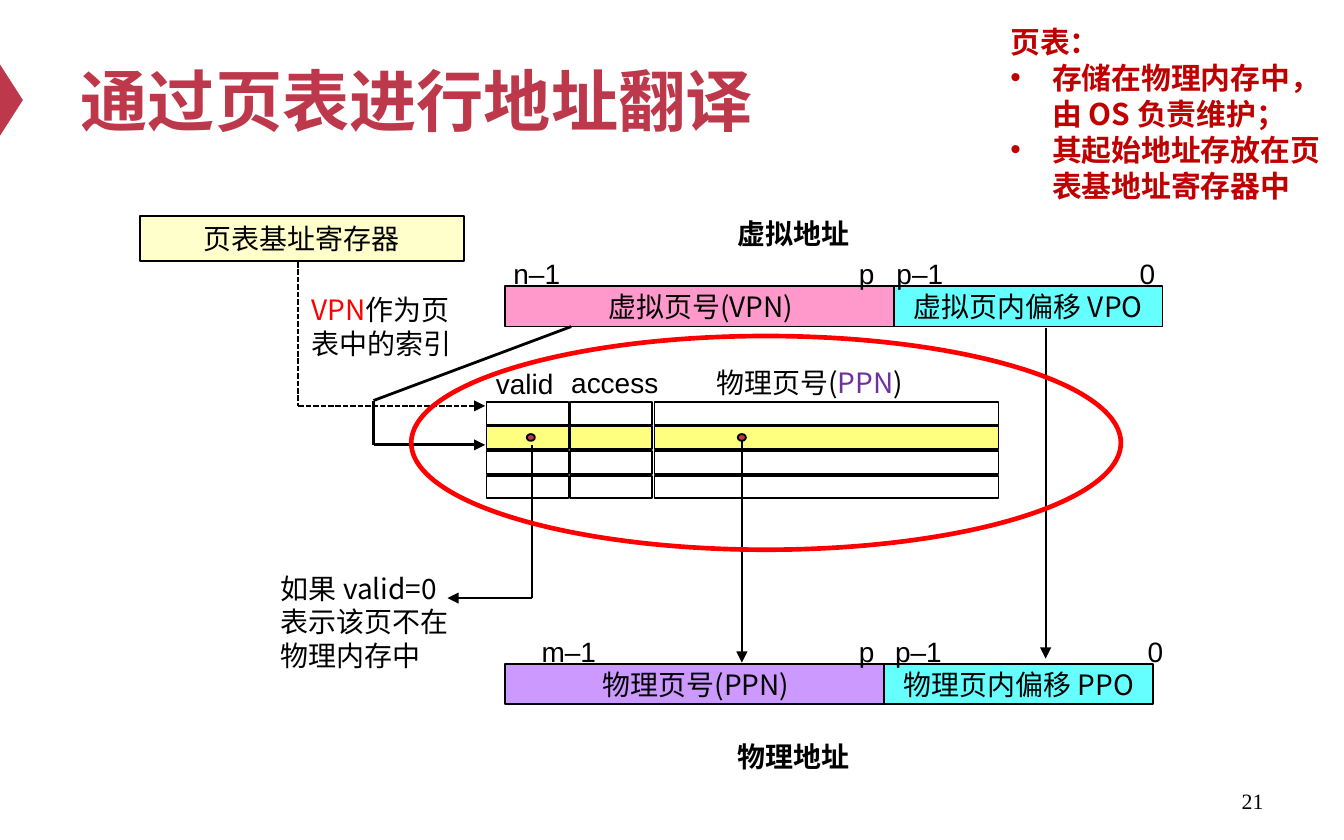
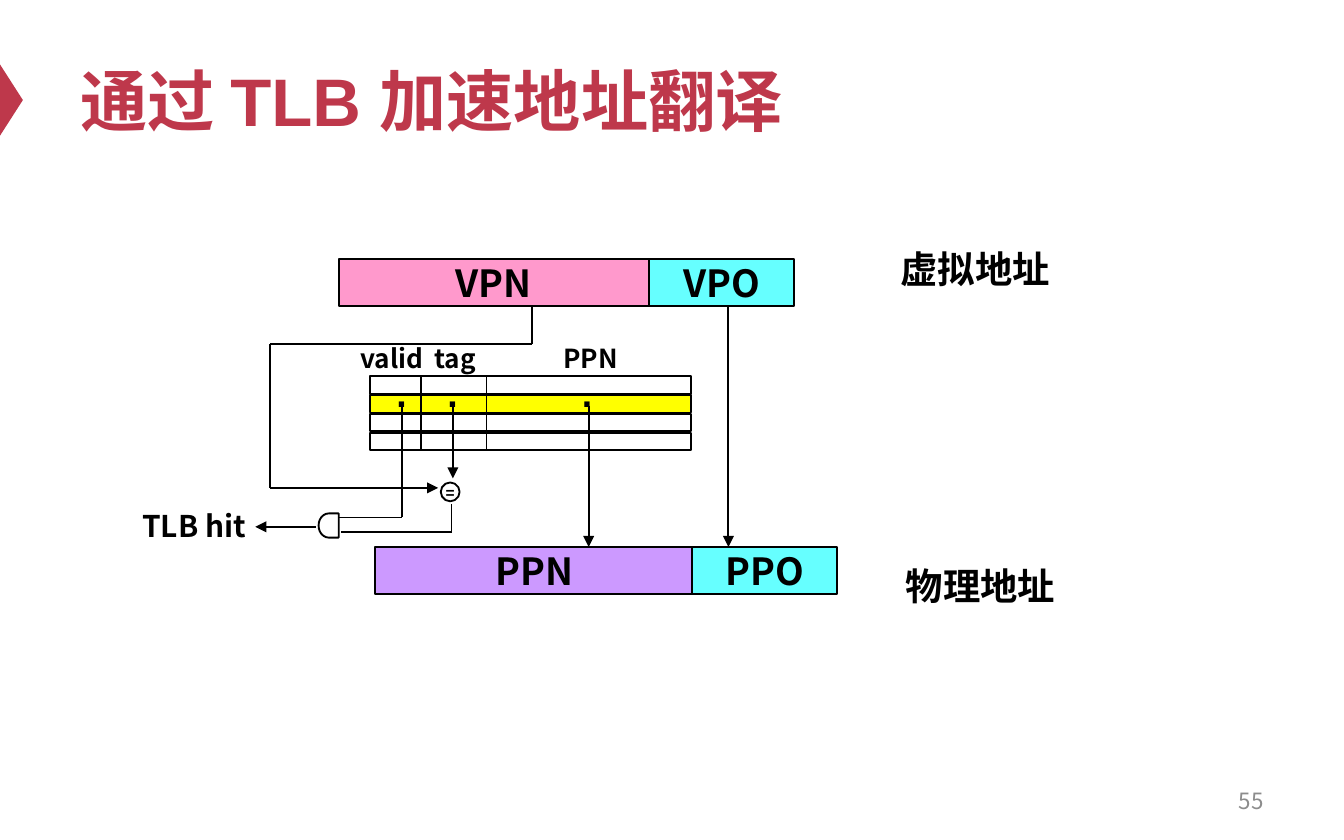
from dataclasses import dataclass
from itertools import pairwise
from typing import Any

from pptx import Presentation
from pptx import util as u
from pptx.dml import color
from pptx.enum import dml, shapes, text
from pptx.oxml import ns
from lxml import etree

COLORS = {
    "black": "000000", "white": "FFFFFF", "brand": "BE384B", "pink": "FF99CC",
    "cyan": "66FFFF", "violet": "CC99FF", "cream": "FFFFCC", "yellow": "FFFF00",
    "red": "FF0000", "note": "C00000", "purple": "7030A0", "gray": "8C8C8C",
}
HAN = "Noto Sans CJK SC"
LATIN = "Arial"
SNUG = (0.08, 0.04)
TIGHT = (0.04, 0.02)
ROOMY = (0.1, 0.05)
ALIGN = text.PP_ALIGN
KIND = shapes.MSO_SHAPE


def rgb(name):
    return color.RGBColor.from_string(COLORS[name])


def add_xml(parent, tag, **attributes):
    return etree.SubElement(parent, ns.qn(tag), attributes)


def write(frame, lines, size, font=HAN, ink="black", bold=False, align=ALIGN.LEFT,
          insets=SNUG, wrap=False, anchor=text.MSO_ANCHOR.TOP):
    frame.auto_size = text.MSO_AUTO_SIZE.NONE
    frame.word_wrap = wrap
    frame.vertical_anchor = anchor
    frame.margin_left = frame.margin_right = u.Inches(insets[0])
    frame.margin_top = frame.margin_bottom = u.Inches(insets[1])
    for index, line in enumerate([lines] if isinstance(lines, str) else lines):
        paragraph = frame.add_paragraph() if index else frame.paragraphs[0]
        paragraph.alignment = align
        for words, tint in [(line, ink)] if isinstance(line, str) else line:
            run = paragraph.add_run()
            run.text = words
            run.font.name = font
            run.font.size = u.Pt(size)
            run.font.bold = bold
            run.font.color.rgb = rgb(tint)
            add_xml(run.font._element, "a:ea", typeface=HAN)


@dataclass
class Region:
    slide: Any
    left: float
    top: float

    def place(self, x, y):
        return u.Inches(self.left + x), u.Inches(self.top + y)

    def box(self, x, y, width, height, fill=None, line="black", weight=1,
            kind=KIND.RECTANGLE, alpha=None):
        shape = self.slide.shapes.add_shape(
            kind, *self.place(x, y), u.Inches(width), u.Inches(height))
        shape.shadow.inherit = False
        if fill:
            shape.fill.solid()
            shape.fill.fore_color.rgb = rgb(fill)
            if alpha:
                tint = shape._element.spPr.find(ns.qn("a:solidFill"))[0]
                add_xml(tint, "a:alpha", val=str(alpha * 1000))
        else:
            shape.fill.background()
        if line:
            shape.line.color.rgb = rgb(line)
            shape.line.width = u.Pt(weight)
        else:
            shape.line.fill.background()
        return shape

    def label(self, x, y, width, height, lines, size, **style):
        area = self.slide.shapes.add_textbox(
            *self.place(x, y), u.Inches(width), u.Inches(height))
        write(area.text_frame, lines, size, **style)
        return area.text_frame

    def route(self, *points, weight=1, dashed=False, arrow=True):
        for start, end in pairwise(points):
            wire = self.slide.shapes.add_connector(
                shapes.MSO_CONNECTOR.STRAIGHT, *self.place(*start), *self.place(*end))
            wire.line.color.rgb = rgb("black")
            wire.line.width = u.Pt(weight)
            if dashed:
                wire.line.dash_style = dml.MSO_LINE.SQUARE_DOT
            outline = wire._element.spPr
            if arrow and end == points[-1]:
                add_xml(outline.find(ns.qn("a:ln")), "a:tailEnd", type="triangle")
            add_xml(outline, "a:effectLst")

    def grid(self, columns, row_height, pitch, alpha=None):
        for row in range(4):
            chosen = row == 1
            for x, width in columns:
                self.box(x, row * pitch, width, row_height,
                         "yellow" if chosen else "white", alpha=alpha if chosen else None)

    def fields(self, parts, height, size, insets, bold=False):
        for x, width, name, fill in parts:
            field = self.box(x, 0, width, height, fill)
            write(field.text_frame, name, size, bold=bold, align=ALIGN.CENTER,
                  insets=insets, anchor=text.MSO_ANCHOR.MIDDLE)


def base_slide(deck, title, title_font, number, **number_style):
    slide = deck.slides.add_slide(deck.slide_layouts[5])
    page = Region(slide, 0, 0)
    page.box(-0.18, 0.66, 0.53, 0.17, "brand", None,
             kind=KIND.ISOSCELES_TRIANGLE).rotation = 90
    heading = slide.shapes.title
    heading.left, heading.top = page.place(0.5, 0.25)
    heading.width, heading.height = u.Inches(9), u.Inches(0.98)
    write(heading.text_frame, title, 36, font=title_font, ink="brand", bold=True,
          insets=ROOMY, wrap=True, anchor=text.MSO_ANCHOR.MIDDLE)
    page.label(7.17, 5.79, 2.33, 0.33, number, align=ALIGN.RIGHT, insets=ROOMY,
               wrap=True, anchor=text.MSO_ANCHOR.MIDDLE, **number_style)
    return slide


def address(region, parts, caption, caption_top, bits):
    region.fields(parts, 0.3, 15, SNUG)
    region.label(1.65, caption_top, 1.01, 0.33, caption, 15, bold=True)
    for x, width, bit in bits:
        region.label(x, -0.26, width, 0.33, bit, 15, font=LATIN)


def base_register(region):
    register = region.box(0, 0, 2.41, 0.33, "cream")
    write(register.text_frame, "页表基址寄存器", 15, align=ALIGN.CENTER,
          wrap=True, anchor=text.MSO_ANCHOR.MIDDLE)
    region.route((1.18, 0.34), (1.18, 1.41), (2.57, 1.41), dashed=True)
    region.label(1.18, 0.52, 1.32, 0.61,
                 [[("VPN", "red"), ("作为页表中的索引", "black")]], 15,
                 insets=ROOMY, wrap=True)
    region.route((3.21, 0.82), (1.74, 1.37), (1.74, 1.7), (2.57, 1.7), weight=1.5)


def page_table(region):
    region.grid([(0, 0.61), (0.62, 0.61), (1.25, 2.56)], 0.17, 0.183, alpha=50)
    region.label(-0.01, -0.3, 0.6, 0.33, "valid", 15, font=LATIN)
    region.label(0.55, -0.31, 0.82, 0.33, "access", 15, font=LATIN)
    region.label(1.63, -0.31, 1.6, 0.33,
                 [[("物理页号(", "black"), ("PPN", "purple"), (")", "black")]], 15)
    for x in (0.3, 1.87):
        region.box(x, 0.24, 0.06, 0.05, "brand", kind=KIND.OVAL)
    region.route((0.34, 0.32), (0.34, 1.46), (-0.29, 1.46))
    region.route((1.9, 0.29), (1.9, 1.94))
    region.label(-1.61, 1.22, 1.46, 0.84,
                 ["如果 valid=0", "表示该页不在", "物理内存中"], 15)
    region.box(-0.56, -0.49, 5.28, 1.59, line="red", weight=2.5, kind=KIND.OVAL)


def table_notes(region):
    notes = region.label(0, 0, 2.72, 1.45, [
        "页表：", "存储在物理内存中，由 OS 负责维护；", "其起始地址存放在页表基地址寄存器中",
    ], 16, ink="note", bold=True, insets=ROOMY, wrap=True)
    for paragraph in notes.paragraphs[1:]:
        properties = paragraph._p.get_or_add_pPr()
        properties.set("marL", str(u.Inches(0.31)))
        properties.set("indent", str(u.Inches(-0.31)))
        add_xml(properties, "a:buFont", typeface=LATIN)
        add_xml(properties, "a:buChar", char="•")


def page_table_slide(deck):
    slide = base_slide(deck, "通过页表进行地址翻译", HAN, "21",
                       size=11.7, font="Times New Roman")
    virtual = Region(slide, 3.76, 2.13)
    address(virtual, [(0, 2.91, "虚拟页号(VPN)", "pink"),
                      (2.89, 2, "虚拟页内偏移 VPO", "cyan")], "虚拟地址", -0.56,
            [(-0.02, 0.52, "n–1"), (2.55, 0.28, "p"), (2.83, 0.52, "p–1"), (4.64, 0.28, "0")])
    virtual.route((4.02, 0.31), (4.02, 2.77))
    address(Region(slide, 3.76, 4.94),
            [(0, 2.84, "物理页号(PPN)", "violet"),
             (2.82, 2, "物理页内偏移 PPO", "cyan")], "物理地址", 0.52,
            [(0.19, 0.58, "m–1"), (2.55, 0.28, "p"), (2.82, 0.52, "p–1"), (4.7, 0.28, "0")])
    base_register(Region(slide, 1.04, 1.61))
    page_table(Region(slide, 3.62, 2.99))
    table_notes(Region(slide, 7.42, 0.13))


def short_address(region, parts, caption, caption_x, caption_y):
    region.fields(parts, 0.35, 20, TIGHT, bold=True)
    region.label(caption_x, caption_y, 1.29, 0.42, caption, 20, bold=True)


def tlb(region):
    region.grid([(0.83, 1.56), (0.35, 0.52), (0, 0.38)], 0.13, 0.14)
    for x, width, name in [(-0.11, 0.55, "valid"), (0.44, 0.41, "tag"), (1.4, 0.51, "PPN")]:
        region.label(x, -0.27, width, 0.28, name, 14, bold=True, insets=TIGHT)
    for x in (0.12, 0.5, 1.5):
        dot = region.label(x, -0.05, 0.24, 0.39, ".", 20, font=LATIN, bold=True, wrap=True)
        dot.paragraphs[0].line_spacing = 0.9
    region.route((0.62, 0.2), (0.62, 0.76))
    region.route((1.63, 0.22), (1.63, 1.27))


def hit_logic(region):
    region.label(0, 0, 0.96, 0.35, "TLB hit", 16, bold=True)
    region.box(1.39, 0.08, 0.15, 0.18, "white", kind=KIND.FLOWCHART_DELAY).rotation = 180
    comparator = region.box(2.3, -0.15, 0.14, 0.14, "white", kind=KIND.OVAL)
    write(comparator.text_frame, "=", 8.3, font=LATIN, bold=True, align=ALIGN.CENTER,
          insets=(0.05, 0.02), anchor=text.MSO_ANCHOR.MIDDLE)
    region.route((2.98, -1.46), (2.98, -1.18), (1.03, -1.18), (1.03, -0.11), (2.28, -0.11))
    region.route((2.01, -0.73), (2.01, 0.11), (1.54, 0.11), arrow=False)
    region.route((2.38, 0.01), (2.38, 0.22), (1.56, 0.22), arrow=False)
    region.route((1.37, 0.18), (0.92, 0.18))


def tlb_slide(deck):
    slide = base_slide(deck, "通过 TLB 加速地址翻译", LATIN, "55", size=12, ink="gray")
    virtual = Region(slide, 2.52, 1.93)
    short_address(virtual, [(0, 2.31, "VPN", "pink"), (2.31, 1.08, "VPO", "cyan")],
                  "虚拟地址", 4.1, -0.14)
    virtual.route((2.9, 0.35), (2.9, 2.14))
    tlb(Region(slide, 2.75, 2.8))
    hit_logic(Region(slide, 0.98, 3.74))
    short_address(Region(slide, 2.79, 4.07),
                  [(0, 2.37, "PPN", "violet"), (2.36, 1.08, "PPO", "cyan")],
                  "物理地址", 3.87, 0.08)


def main():
    deck = Presentation()
    deck.slide_width, deck.slide_height = u.Inches(10), u.Inches(6.25)
    page_table_slide(deck)
    tlb_slide(deck)
    deck.save("out.pptx")


if __name__ == "__main__":
    main()
